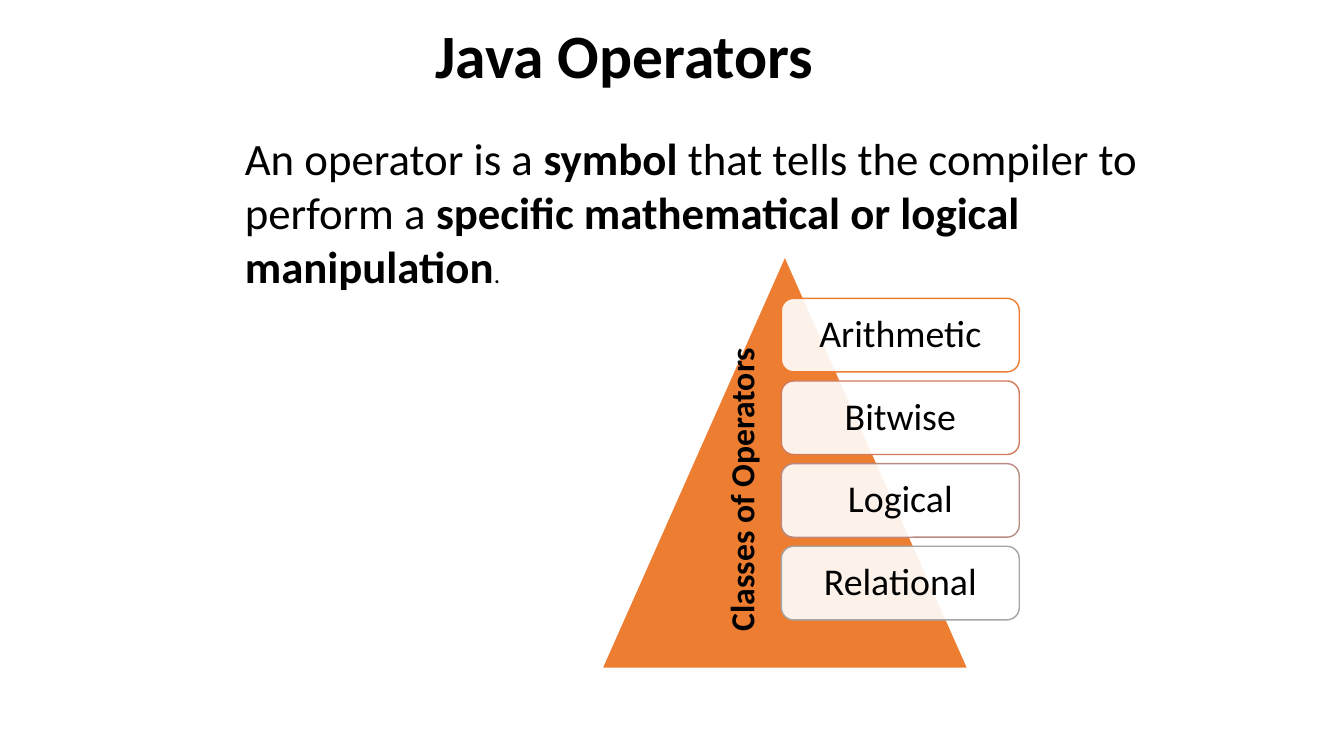
import pptx
import pptx.dml.color
import pptx.enum.shapes
import pptx.enum.text
import pptx.oxml.ns
import pptx.util
from lxml import etree
from pptx.util import Inches

ORANGE = "ED7D31"
WHITE = "FFFFFF"
BLACK = "000000"
OPERATOR_CLASSES = [
    ("Arithmetic", ORANGE),
    ("Bitwise", "D17B5C"),
    ("Logical", "B98A82"),
    ("Relational", "A5A5A5"),
]
SHAPES = pptx.enum.shapes.MSO_SHAPE
MIDDLE = pptx.enum.text.MSO_ANCHOR.MIDDLE
CENTER = pptx.enum.text.PP_ALIGN.CENTER


def color(hex_code):
    return pptx.dml.color.RGBColor.from_string(hex_code)


def write(shape, runs, align=None, line_spacing=None):
    """Fill the first paragraph with (text, size, bold) runs."""
    frame = shape.text_frame
    frame.word_wrap = True
    para = frame.paragraphs[0]
    para.alignment = align
    para.line_spacing = line_spacing
    for text, size, bold in runs:
        span = para.add_run()
        span.text = text
        span.font.name = "Calibri"
        span.font.size = pptx.util.Pt(size)
        span.font.bold = bold
        span.font.color.rgb = color(BLACK)
    return frame


def add_text(page, left, top, width, height, runs, **layout):
    box = page.shapes.add_textbox(
        Inches(left), Inches(top), Inches(width), Inches(height))
    write(box, runs, **layout)
    return box


def add_outlined(page, kind, left, top, width, height, fill, line):
    shape = page.shapes.add_shape(
        kind, Inches(left), Inches(top), Inches(width), Inches(height))
    shape.shadow.inherit = False
    shape.fill.solid()
    shape.fill.fore_color.rgb = color(fill)
    shape.line.color.rgb = color(line)
    shape.line.width = pptx.util.Pt(1)
    return shape


def set_opacity(shape, percent):
    solid_fill = shape.element.spPr.find(pptx.oxml.ns.qn("a:solidFill"))
    alpha = etree.SubElement(solid_fill[0], pptx.oxml.ns.qn("a:alpha"))
    alpha.set("val", str(percent * 1000))


def add_class_card(page, top, name, line):
    card = add_outlined(page, SHAPES.ROUNDED_RECTANGLE,
                        7.75, top, 2.36, 0.73, WHITE, line)
    set_opacity(card, 90)
    frame = write(card, [(name, 27, False)], align=CENTER, line_spacing=0.9)
    frame.vertical_anchor = MIDDLE


def add_vertical_label(page, text):
    box = add_text(page, 7.1, 3.16, 0.61, 3.2, [(text, 24, True)])
    body = box.element.find(".//" + pptx.oxml.ns.qn("a:bodyPr"))
    body.set("vert", "vert270")


def main():
    deck = pptx.Presentation()
    deck.slide_width = Inches(13.33)
    deck.slide_height = Inches(7.5)
    page = deck.slides.add_slide(deck.slide_layouts[6])

    title = add_text(page, 1.86, 0.07, 8.67, 1.02,
                     [("Java Operators", 44, True)],
                     align=CENTER, line_spacing=0.9)
    title.text_frame.vertical_anchor = MIDDLE
    add_text(page, 2.33, 1.25, 9.28, 1.7, [
        ("An operator is a", 32, False),
        (" symbol ", 32, True),
        ("that tells the compiler to perform a ", 32, False),
        ("specific mathematical or logical manipulation", 32, True),
        (".", 18, False),
    ])

    add_outlined(page, SHAPES.ISOSCELES_TRIANGLE,
                 5.97, 2.54, 3.63, 4.09, ORANGE, WHITE)
    for index, (name, line) in enumerate(OPERATOR_CLASSES):
        add_class_card(page, 2.96 + 0.82 * index, name, line)
    add_vertical_label(page, "Classes of Operators")

    deck.save("out.pptx")


if __name__ == "__main__":
    main()
